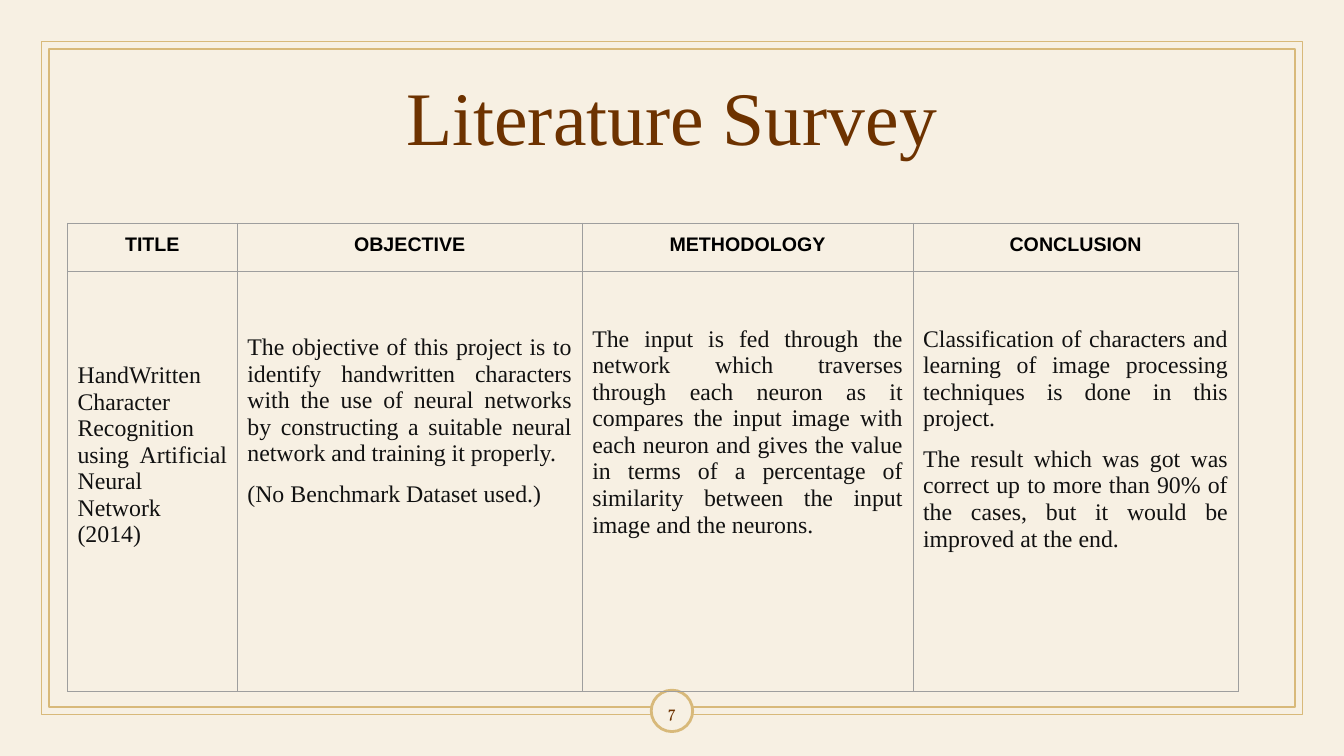
from lxml.etree import SubElement
from pptx import Presentation
from pptx.dml.color import RGBColor
from pptx.enum.shapes import MSO_SHAPE
from pptx.enum.text import MSO_ANCHOR, PP_ALIGN
from pptx.oxml.ns import qn
from pptx.util import Pt

COLOURS = {
    "background": "F7F0E3",
    "gold": "D8B97A",
    "brown": "6D3200",
    "border": "9E9E9E",
    "heading": "000000",
    "body": "111111",
}
SLIDE_WIDTH, SLIDE_HEIGHT = 960, 540

TITLE_FONT = {"name": "Times New Roman", "size": Pt(54), "bold": False}
NUMBER_FONT = {"name": "Vollkorn", "size": Pt(12), "bold": False}
HEADING_FONT = {"name": "Arial", "size": Pt(14), "bold": True}
BODY_FONT = {"name": "Times New Roman", "size": Pt(17), "bold": False}

COLUMN_WIDTHS = [121.3, 246.4, 236.3, 232.3]
ROW_HEIGHTS = [34.2, 300]
HEADINGS = ["TITLE", "OBJECTIVE", "METHODOLOGY", "CONCLUSION"]
# Each body cell: top margin in points, then its paragraphs.
SURVEY = [
    (65, ["HandWritten Character Recognition using Artificial Neural Network (2014)"]),
    (45, ["The objective of this project is to identify handwritten characters with "
          "the use of neural networks by constructing a suitable neural network and "
          "training it properly.",
          "(No Benchmark Dataset used.)"]),
    (39, ["The input is fed through the network which traverses through each neuron "
          "as it compares the input image with each neuron and gives the value in "
          "terms of a percentage of similarity between the input image and the neurons."]),
    (39, ["Classification of characters and learning of image processing techniques "
          "is done in this project.",
          "The result which was got was correct up to more than 90% of the cases, but "
          "it would be improved at the end."]),
]


def colour(name):
    return RGBColor.from_string(COLOURS[name])


def set_attributes(target, values):
    for name, value in values.items():
        setattr(target, name, value)


def write_paragraph(paragraph, text, font, colour_name, **layout):
    run = paragraph.add_run()
    run.text = text
    set_attributes(run.font, font)
    run.font.color.rgb = colour(colour_name)
    set_attributes(paragraph, layout)


def add_outline(slide, preset, box, width, fill=None):
    shape = slide.shapes.add_shape(preset, *map(Pt, box))
    shape.shadow.inherit = False
    if fill:
        shape.fill.solid()
        shape.fill.fore_color.rgb = colour(fill)
    else:
        shape.fill.background()
    shape.line.color.rgb = colour("gold")
    shape.line.width = Pt(width)


def add_frame(slide, inset, width):
    box = (inset, inset, SLIDE_WIDTH - 2 * inset, SLIDE_HEIGHT - 2 * inset)
    add_outline(slide, MSO_SHAPE.RECTANGLE, box, width)


def add_centred_text(slide, box, text, font, **layout):
    frame = slide.shapes.add_textbox(*map(Pt, box)).text_frame
    frame.word_wrap = True
    frame.vertical_anchor = MSO_ANCHOR.MIDDLE
    write_paragraph(frame.paragraphs[0], text, font, "brown",
                    alignment=PP_ALIGN.CENTER, **layout)


def style_cell(cell, top_margin):
    """Set margins and thin borders, and leave the cell unfilled."""
    set_attributes(cell, {
        "margin_left": Pt(7.2), "margin_right": Pt(7.2),
        "margin_top": Pt(top_margin), "margin_bottom": Pt(7.2),
        "vertical_anchor": MSO_ANCHOR.TOP,
    })
    properties = cell._tc.get_or_add_tcPr()
    for side in ("a:lnL", "a:lnR", "a:lnT", "a:lnB"):
        line = SubElement(properties, qn(side), w=str(Pt(0.75)))
        fill = SubElement(line, qn("a:solidFill"))
        SubElement(fill, qn("a:srgbClr"), val=COLOURS["border"])
    cell.fill.background()


def add_survey_table(slide, left, top):
    table = slide.shapes.add_table(
        len(ROW_HEIGHTS), len(COLUMN_WIDTHS), Pt(left), Pt(top),
        Pt(sum(COLUMN_WIDTHS)), Pt(sum(ROW_HEIGHTS))).table
    set_attributes(table, {"first_row": False, "horz_banding": False})
    for row, height in zip(table.rows, ROW_HEIGHTS):
        row.height = Pt(height)
    for index, (heading, (top_margin, texts)) in enumerate(zip(HEADINGS, SURVEY)):
        table.columns[index].width = Pt(COLUMN_WIDTHS[index])
        heading_cell, body_cell = table.cell(0, index), table.cell(1, index)
        style_cell(heading_cell, 7.2)
        write_paragraph(heading_cell.text_frame.paragraphs[0], heading,
                        HEADING_FONT, "heading", alignment=PP_ALIGN.CENTER)
        style_cell(body_cell, top_margin)
        frame = body_cell.text_frame
        for number, text in enumerate(texts):
            paragraph = frame.add_paragraph() if number else frame.paragraphs[0]
            write_paragraph(paragraph, text, BODY_FONT, "body",
                            alignment=PP_ALIGN.JUSTIFY,
                            space_before=Pt(10 if number else 0))


def main():
    presentation = Presentation()
    presentation.slide_width = Pt(SLIDE_WIDTH)
    presentation.slide_height = Pt(SLIDE_HEIGHT)
    slide = presentation.slides.add_slide(presentation.slide_layouts[6])
    slide.background.fill.solid()
    slide.background.fill.fore_color.rgb = colour("background")

    add_frame(slide, 29.5, 1)
    add_frame(slide, 35, 2)
    add_outline(slide, MSO_SHAPE.OVAL, (465.2, 493, 29.6, 29.6), 2, "background")
    add_centred_text(slide, (66, 51, 828, 71.5), "Literature Survey", TITLE_FONT,
                     line_spacing=0.9)
    add_centred_text(slide, (458.4, 494, 43.2, 28.8), "7", NUMBER_FONT)
    add_survey_table(slide, 48.2, 159.6)
    presentation.save("out.pptx")


if __name__ == "__main__":
    main()
